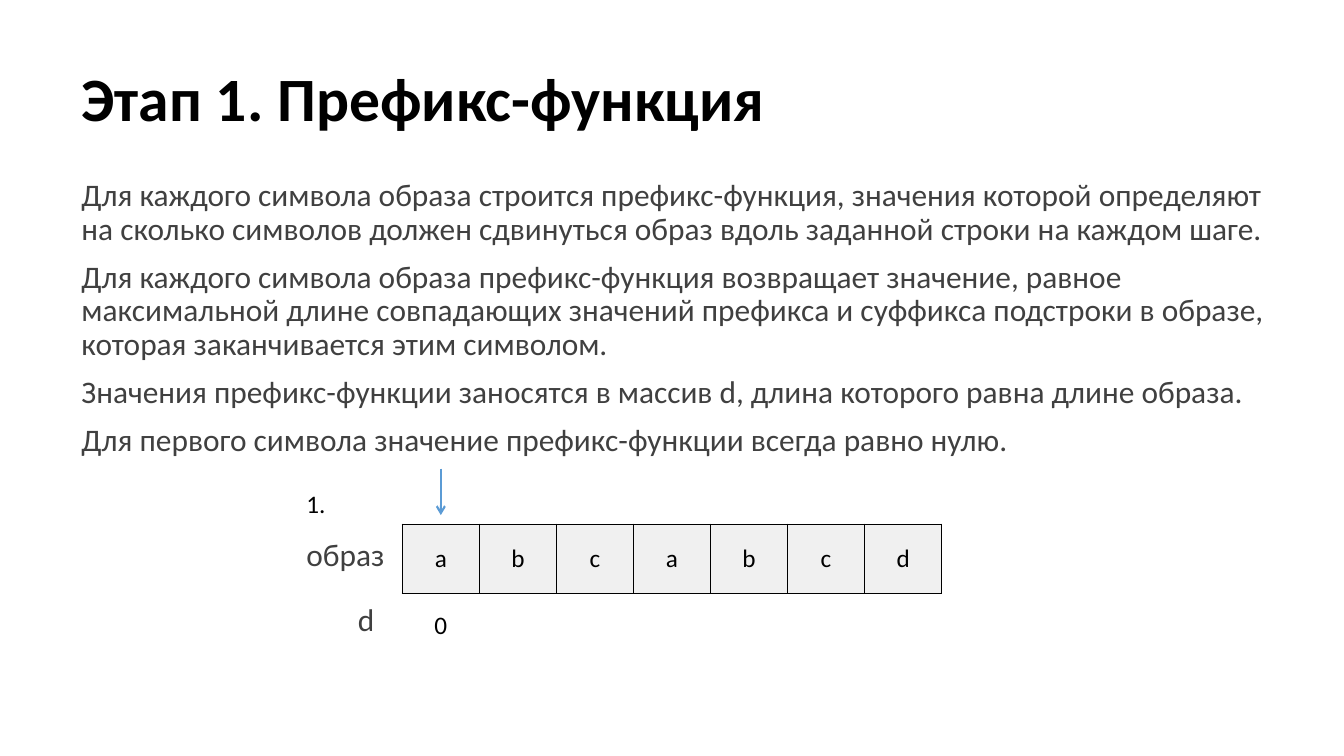
from dataclasses import dataclass

from lxml.etree import SubElement
from pptx import Presentation
from pptx.dml.color import RGBColor
from pptx.enum.shapes import MSO_CONNECTOR
from pptx.enum.text import MSO_ANCHOR, MSO_AUTO_SIZE, PP_ALIGN
from pptx.oxml import parse_xml
from pptx.oxml.ns import nsdecls, qn
from pptx.util import Inches, Pt

# Content
TITLE = "Этап 1. Префикс-функция"
BODY = [
    "Для каждого символа образа строится префикс-функция, значения которой "
    "определяют на сколько символов должен сдвинуться образ вдоль заданной "
    "строки на каждом шаге.",
    "Для каждого символа образа префикс-функция возвращает значение, равное "
    "максимальной длине совпадающих значений префикса и суффикса подстроки "
    "в образе, которая заканчивается этим символом.",
    "Значения префикс-функции заносятся в массив d, длина которого равна "
    "длине образа.",
    "Для первого символа значение префикс-функции всегда равно нулю.",
]
PATTERN = "abcabcd"
NAMES = [("образ", (2.94, 5.3, 1.03, 0.48)), ("d", (3.45, 5.95, 0.38, 0.49))]
MARKS = [("1.", (2.94, 4.8, 0.39, 0.4)), ("0", (4.21, 6, 0.33, 0.4))]


@dataclass(frozen=True)
class Theme:
    font: str = "Calibri"
    black: str = "000000"
    gray: str = "404040"
    cell: str = "F0F0F0"
    blue: str = "5B9BD5"
    head: float = 44
    text: float = 22.4
    small: float = 18


theme = Theme()


def color(code):
    return RGBColor.from_string(code)


def write(par, text, size, ink, bold=False):
    run = par.add_run()
    run.text = text
    font = run.font
    font.name, font.size, font.bold = theme.font, Pt(size), bold
    font.color.rgb = color(ink)


def add_text(slide, box, lines, size, ink, prose=True):
    frame = slide.shapes.add_textbox(*map(Inches, box)).text_frame
    frame.word_wrap = prose
    frame.auto_size = MSO_AUTO_SIZE.NONE if prose else MSO_AUTO_SIZE.SHAPE_TO_FIT_TEXT
    for i, line in enumerate(lines):
        par = frame.add_paragraph() if i else frame.paragraphs[0]
        if prose:
            par.line_spacing, par.space_before = 0.9, Pt(10)
        write(par, line, size, ink)


def add_borders(cell):
    props = cell._tc.get_or_add_tcPr()
    for i, side in enumerate("LRTB"):
        props.insert(i, parse_xml(
            f'<a:ln{side} {nsdecls("a")} w="{Pt(1)}"><a:solidFill>'
            f'<a:srgbClr val="{theme.black}"/></a:solidFill></a:ln{side}>'))


def main():
    deck = Presentation()
    deck.slide_width, deck.slide_height = Inches(13.33), Inches(7.5)
    slide = deck.slides.add_slide(deck.slide_layouts[5])

    # Title
    title = slide.shapes.title
    title.left, title.top = Inches(0.71), Inches(0.28)
    title.width, title.height = Inches(11.5), Inches(1.45)
    frame = title.text_frame
    frame.auto_size = MSO_AUTO_SIZE.NONE
    frame.vertical_anchor = MSO_ANCHOR.MIDDLE
    par = frame.paragraphs[0]
    par.alignment, par.line_spacing = PP_ALIGN.LEFT, 0.9
    write(par, TITLE, theme.head, theme.black, True)

    # Explanation
    add_text(slide, (0.71, 1.73, 12.23, 2.97), BODY, theme.text, theme.gray)

    # Pattern cells
    count = len(PATTERN)
    left, wide = 3.99, 5.35
    pitch = wide / count
    table = slide.shapes.add_table(1, count, Inches(left), Inches(5.2),
                                   Inches(wide), Inches(0.69)).table
    table.first_row = table.horz_banding = False
    for i, letter in enumerate(PATTERN):
        table.columns[i].width = Inches(pitch)
        cell = table.cell(0, i)
        cell.vertical_anchor = MSO_ANCHOR.MIDDLE
        cell.fill.solid()
        cell.fill.fore_color.rgb = color(theme.cell)
        add_borders(cell)
        par = cell.text_frame.paragraphs[0]
        par.alignment = PP_ALIGN.CENTER
        write(par, letter, theme.small, theme.black)

    # Row names, step number and value
    for text, box in NAMES:
        add_text(slide, box, [text], theme.text, theme.gray)
    for text, box in MARKS:
        add_text(slide, box, [text], theme.small, theme.black, False)

    # Arrow to the first cell
    mid = Inches(left + pitch / 2)
    arrow = slide.shapes.add_connector(MSO_CONNECTOR.STRAIGHT, mid, Inches(4.65),
                                       mid, Inches(5.11))
    arrow.line.color.rgb = color(theme.blue)
    arrow.line.width = Pt(1.5)
    SubElement(arrow.line._get_or_add_ln(), qn("a:tailEnd"), type="arrow")
    SubElement(arrow._element.spPr, qn("a:effectLst"))

    deck.save("out.pptx")


if __name__ == "__main__":
    main()
